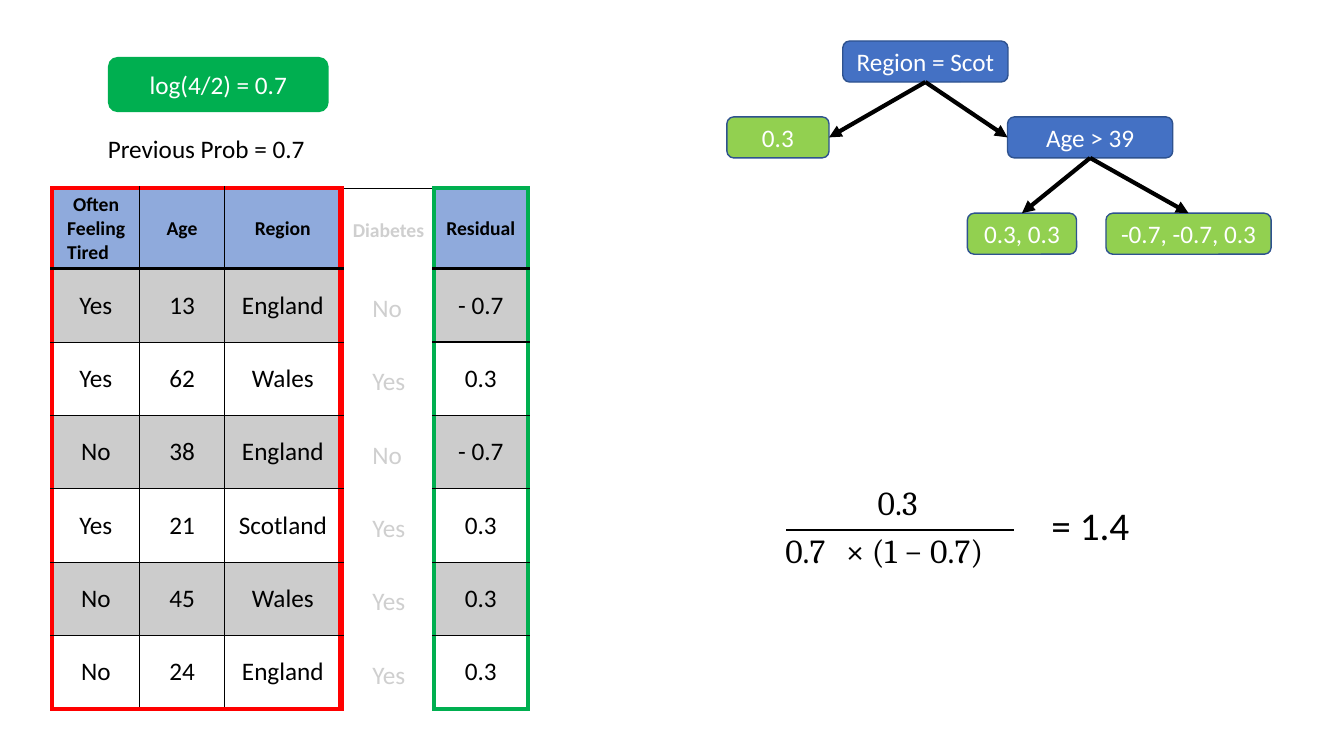
from pptx import Presentation
from pptx.dml.color import RGBColor
from pptx.enum.shapes import MSO_CONNECTOR, MSO_SHAPE
from pptx.enum.text import MSO_ANCHOR, PP_ALIGN
from pptx.oxml.ns import qn
from pptx.util import Pt
from lxml import etree

RECT, ROUNDED = MSO_SHAPE.RECTANGLE, MSO_SHAPE.ROUNDED_RECTANGLE
STRAIGHT = MSO_CONNECTOR.STRAIGHT
TOP, MIDDLE = MSO_ANCHOR.TOP, MSO_ANCHOR.MIDDLE
LEFT, CENTER = PP_ALIGN.LEFT, PP_ALIGN.CENTER
SITE_TOP, SITE_LEFT, SITE_BOTTOM, SITE_RIGHT = range(4)

BLACK, WHITE, RED, GREEN = "000000", "FFFFFF", "FF0000", "00AF50"
BLUE, LEAF, OUTLINE = "4471C4", "92D050", "2E528F"
HEADER, SHADE = "8FAADC", "CCCCCC"

ROW_H = 52.4
COLS = [62.6, 60.5, 83.5, 66.2, 67]
GAP_COL = 3
ROWS = [
    ["Often Feeling Tired", "Age", "Region", "", "Residual"],
    ["Yes", "13", "England", "", "- 0.7"],
    ["Yes", "62", "Wales", "", "0.3"],
    ["No", "38", "England", "", "- 0.7"],
    ["Yes", "21", "Scotland", "", "0.3"],
    ["No", "45", "Wales", "", "0.3"],
    ["No", "24", "England", "", "0.3"],
]
DIABETES = ["No", "Yes", "No", "Yes", "Yes", "Yes"]
V_EDGES = [(RED, 3), (BLACK, 1), (BLACK, 1), (RED, 4.5), (GREEN, 3), (GREEN, 3)]
OUTER_EDGES = [(RED, 3), (RED, 3), (RED, 3), (BLACK, 1), (GREEN, 3)]


def rgb(value):
    return RGBColor.from_string(value)


def add_run(p, text, size, color, font="Calibri", bold=False):
    r = p.add_run()
    r.text = text
    r.font.size = Pt(size)
    r.font.name = font
    r.font.bold = bold
    r.font.color.rgb = rgb(color)


def set_frame(tf, anchor):
    tf.word_wrap = True
    tf.vertical_anchor = anchor
    tf.margin_left = tf.margin_right = tf.margin_top = tf.margin_bottom = 0


def add_text(s, x, y, w, h, text, size, font="Calibri", tab=None):
    tf = s.shapes.add_textbox(Pt(x), Pt(y), Pt(w), Pt(h)).text_frame
    set_frame(tf, TOP)
    p = tf.paragraphs[0]
    if tab:
        tabs = etree.SubElement(p._p.get_or_add_pPr(), qn("a:tabLst"))
        etree.SubElement(tabs, qn("a:tab"), pos=str(Pt(tab)), algn="l")
    add_run(p, text, size, BLACK, font)
    return tf


def add_node(s, x, y, w, h, text, fill, line):
    sp = s.shapes.add_shape(ROUNDED, Pt(x), Pt(y), Pt(w), Pt(h))
    sp.shadow.inherit = False
    sp.fill.solid()
    sp.fill.fore_color.rgb = rgb(fill)
    sp.line.color.rgb = rgb(line)
    sp.line.width = Pt(1)
    set_frame(sp.text_frame, MIDDLE)
    p = sp.text_frame.paragraphs[0]
    p.alignment = CENTER
    add_run(p, text, 18, WHITE)
    return sp


def add_line(s, x1, y1, x2, y2, width):
    line = s.shapes.add_connector(STRAIGHT, Pt(x1), Pt(y1), Pt(x2), Pt(y2))
    line.line.color.rgb = rgb(BLACK)
    line.line.width = Pt(width)
    etree.SubElement(line._element.spPr, qn("a:effectLst"))
    return line


def add_branch(s, parent, child, site):
    arrow = add_line(s, 0, 0, 0, 0, 3)
    arrow.begin_connect(parent, SITE_BOTTOM)
    arrow.end_connect(child, site)
    etree.SubElement(arrow.line._get_or_add_ln(), qn("a:tailEnd"), type="triangle")


def add_veil(s, x, y, w, h):
    sp = s.shapes.add_shape(RECT, Pt(x), Pt(y), Pt(w), Pt(h))
    sp.shadow.inherit = False
    sp.line.fill.background()
    sp.fill.solid()
    sp.fill.fore_color.rgb = rgb(WHITE)
    color = sp._element.spPr.find(qn("a:solidFill"))[0]
    etree.SubElement(color, qn("a:alpha"), val="81000")


def add_border(cell, side, edge):
    tc_pr = cell._tc.get_or_add_tcPr()
    if edge is None:
        ln = etree.SubElement(tc_pr, qn("a:" + side), w="0")
        etree.SubElement(ln, qn("a:noFill"))
        return
    color, width = edge
    ln = etree.SubElement(tc_pr, qn("a:" + side), w=str(Pt(width)))
    fill = etree.SubElement(ln, qn("a:solidFill"))
    etree.SubElement(fill, qn("a:srgbClr"), val=color)


def horizontal_edge(row, col):
    if row in (0, len(ROWS)):
        return OUTER_EDGES[col]
    if col == GAP_COL:
        return None
    thick = row == 1 or (row == 2 and col > GAP_COL)
    return (BLACK, 2.25 if thick else 1)


def fill_cell(cell, row, col):
    for side, edge in (("lnL", V_EDGES[col]), ("lnR", V_EDGES[col + 1]),
                       ("lnT", horizontal_edge(row, col)),
                       ("lnB", horizontal_edge(row + 1, col))):
        add_border(cell, side, edge)
    cell.margin_left = cell.margin_right = cell.margin_top = cell.margin_bottom = 0
    cell.vertical_anchor = MIDDLE
    if col == GAP_COL or (row and row % 2 == 0):
        cell.fill.background()
    else:
        cell.fill.solid()
        cell.fill.fore_color.rgb = rgb(SHADE if row else HEADER)
    text = ROWS[row][col]
    if not text:
        return
    p = cell.text_frame.paragraphs[0]
    p.alignment = CENTER
    if row == col == 0:
        p.alignment = LEFT
        p_pr = p._p.get_or_add_pPr()
        p_pr.set("marL", str(Pt(10.8)))
        p_pr.set("indent", str(Pt(4.3)))
    add_run(p, text, 18 if row else 14, BLACK, bold=row == 0)


def add_patient_table(s, x, y):
    heights = [57.6] + [ROW_H] * (len(ROWS) - 1)
    table = s.shapes.add_table(len(ROWS), len(COLS), Pt(x), Pt(y),
                               Pt(sum(COLS)), Pt(sum(heights))).table
    table.first_row = table.horz_banding = False
    for column, width in zip(table.columns, COLS):
        column.width = Pt(width)
    for row, height in enumerate(heights):
        table.rows[row].height = Pt(height)
        for col in range(len(COLS)):
            fill_cell(table.cell(row, col), row, col)
    table.cell(0, GAP_COL).merge(table.cell(len(ROWS) - 1, GAP_COL))


def add_diabetes_column(s):
    tf = s.shapes.add_textbox(Pt(252), Pt(159.1), Pt(52), Pt(334)).text_frame
    set_frame(tf, TOP)
    p = tf.paragraphs[0]
    p.line_spacing = Pt(13.3)
    add_run(p, "Diabetes", 14, BLACK, bold=True)
    for i, answer in enumerate(DIABETES):
        p = tf.add_paragraph()
        p._p.get_or_add_pPr().set("marL", str(Pt(14)))
        p.line_spacing = Pt(ROW_H)
        p.space_before = Pt(0 if i else 5.4)
        add_run(p, answer, 18, BLACK)
    add_veil(s, 244.8, 136.1, 67, 372.2)


def add_tree(s):
    low = add_node(s, 519.2, 83.5, 73, 29.3, "0.3", LEAF, OUTLINE)
    age = add_node(s, 719.7, 83.5, 118, 29.3, "Age > 39", BLUE, OUTLINE)
    region = add_node(s, 602, 29.3, 118, 29.3, "Region = Scot", BLUE, OUTLINE)
    pair = add_node(s, 691, 152.3, 78, 29.3, "0.3, 0.3", LEAF, OUTLINE)
    triple = add_node(s, 790, 152.3, 118, 29.3, "-0.7, -0.7, 0.3", LEAF, OUTLINE)
    add_branch(s, region, low, SITE_RIGHT)
    add_branch(s, region, age, SITE_LEFT)
    add_branch(s, age, pair, SITE_TOP)
    add_branch(s, age, triple, SITE_TOP)


def add_formula(s):
    add_line(s, 561.5, 378.7, 724.5, 378.7, 1.5)
    add_text(s, 627, 344.5, 36, 30, "0.3", 24, "Cambria")
    add_text(s, 561, 378.4, 164, 30, "0.7\t× (1 − 0.7)", 24, "Cambria", tab=43.2)
    add_text(s, 751, 358, 60, 35, "= 1.4", 28)


def main():
    prs = Presentation()
    prs.slide_width, prs.slide_height = Pt(960), Pt(540)
    s = prs.slides.add_slide(prs.slide_layouts[6])
    add_diabetes_column(s)
    add_patient_table(s, 37.2, 134.4)
    add_tree(s)
    add_node(s, 77.6, 41.2, 156.6, 38.4, "log(4/2) = 0.7", GREEN, GREEN)
    add_formula(s)
    add_text(s, 77, 95.3, 146, 24, "Previous Prob = 0.7", 18)
    prs.save("out.pptx")


if __name__ == "__main__":
    main()
